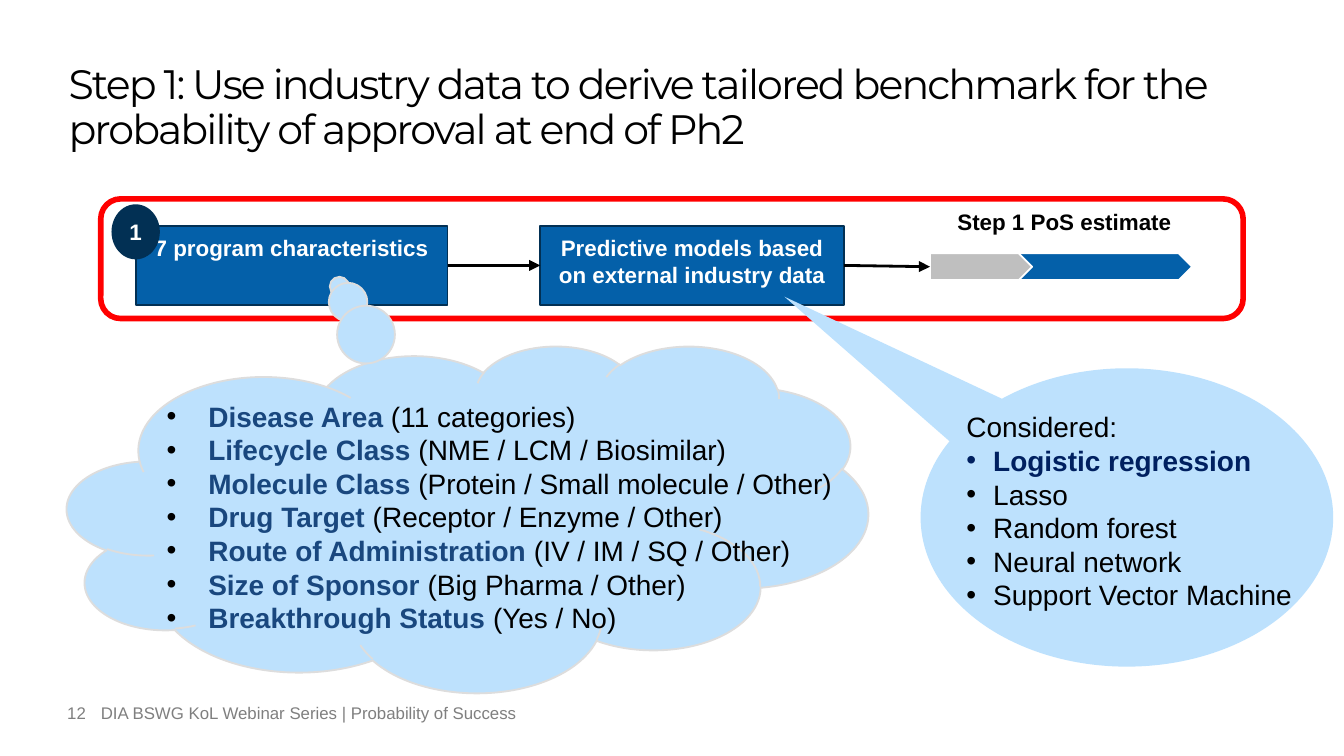
from dataclasses import dataclass, field

from lxml.etree import SubElement
from pptx import Presentation
from pptx.dml.color import RGBColor
from pptx.enum.shapes import MSO_CONNECTOR, MSO_SHAPE as Preset
from pptx.enum.text import MSO_ANCHOR as Anchor, MSO_AUTO_SIZE as AutoSize, PP_ALIGN as Align
from pptx.oxml.ns import qn
from pptx.util import Pt

PX = 4572
BLUE, NAVY, SKY, BLACK, WHITE, GREY = "0460A9", "023054", "BDE1FD", "000000", "FFFFFF", "7F7F7F"
MARGINS = ("margin_left", "margin_top", "margin_right", "margin_bottom")


@dataclass
class Run:
    """A piece of text with one look."""
    text: str
    color: str = BLACK
    bold: bool = False
    size: int = 15
    face: str = "Arial"


@dataclass
class Line:
    """A paragraph with its indent in px and its bullet."""
    runs: list[Run]
    indent: int = 0
    bullet: bool = False
    bullet_color: str | None = None
    layout: dict = field(default_factory=dict)


@dataclass
class Block:
    """A filled or outlined preset shape, placed in px."""
    preset: Preset
    box: tuple[int, int, int, int]
    fill: str | None = None
    outline: str | None = None
    weight: float = 1
    adjustments: tuple[float, ...] = ()


def rgb(code: str) -> RGBColor:
    """Turn a hex string into a colour."""
    return RGBColor.from_string(code)


def assign(target, values: dict) -> None:
    """Set each named attribute on the target."""
    for name, value in values.items():
        setattr(target, name, value)


def place(shape, box: tuple[int, int, int, int]) -> None:
    """Move and size a shape in px."""
    assign(shape, dict(zip(("left", "top", "width", "height"), (n * PX for n in box))))


def write(shape, lines: list[Line], insets=(20, 10, 20, 10), anchor=Anchor.TOP) -> None:
    """Fill a shape's text frame with formatted lines."""
    frame = shape.text_frame
    assign(frame, {"word_wrap": True, "auto_size": AutoSize.NONE, "vertical_anchor": anchor})
    assign(frame, dict(zip(MARGINS, (n * PX for n in insets))))
    for index, line in enumerate(lines):
        paragraph = frame.add_paragraph() if index else frame.paragraphs[0]
        props = paragraph._p.get_or_add_pPr()
        props.set("marL", str(line.indent * PX))
        props.set("indent", str(-line.indent * PX))
        if line.bullet_color:
            SubElement(SubElement(props, qn("a:buClr")), qn("a:srgbClr")).set("val", line.bullet_color)
        if line.bullet:
            SubElement(props, qn("a:buFont")).set("typeface", "Arial")
            SubElement(props, qn("a:buChar")).set("char", "•")
        else:
            SubElement(props, qn("a:buNone"))
        assign(paragraph, {"alignment": Align.LEFT, "space_before": Pt(0)} | line.layout)
        for part in line.runs:
            run = paragraph.add_run()
            run.text = part.text
            assign(run.font, {"name": part.face, "size": Pt(part.size), "bold": part.bold})
            run.font.color.rgb = rgb(part.color)


def draw_block(slide, block: Block):
    """Draw a preset shape without shadow."""
    shape = slide.shapes.add_shape(block.preset, *(n * PX for n in block.box))
    shape.shadow.inherit = False
    for index, value in enumerate(block.adjustments):
        shape.adjustments[index] = value
    if block.fill:
        shape.fill.solid()
        shape.fill.fore_color.rgb = rgb(block.fill)
    else:
        shape.fill.background()
    if block.outline:
        shape.line.color.rgb = rgb(block.outline)
        shape.line.width = Pt(block.weight)
    else:
        shape.line.fill.background()
    return shape


def draw_text(slide, box: tuple[int, int, int, int], line: Line, **frame) -> None:
    """Draw a text box with one line."""
    write(slide.shapes.add_textbox(*(n * PX for n in box)), [line], **frame)


def draw_arrow(slide, source, target) -> None:
    """Join the right side of one shape to the left side of another."""
    arrow = slide.shapes.add_connector(MSO_CONNECTOR.STRAIGHT, 0, 0, 0, 0)
    arrow.begin_connect(source, 3)
    arrow.end_connect(target, 1)
    arrow.line.color.rgb = rgb(BLACK)
    arrow.line.width = Pt(1.5)
    SubElement(arrow.line._get_or_add_ln(), qn("a:tailEnd")).set("type", "triangle")
    SubElement(arrow._element.spPr, qn("a:effectLst"))


def fill_list(slide, placeholder, box: tuple[int, int, int, int], lines: list[Line]) -> None:
    """Place a list above everything drawn so far."""
    place(placeholder, box)
    write(placeholder, lines)
    slide.shapes._spTree.append(placeholder._element)


CHARACTERISTICS = {
    "Disease Area": "11 categories",
    "Lifecycle Class": "NME / LCM / Biosimilar",
    "Molecule Class": "Protein / Small molecule / Other",
    "Drug Target": "Receptor / Enzyme / Other",
    "Route of Administration": "IV / IM / SQ / Other",
    "Size of Sponsor": "Big Pharma / Other",
    "Breakthrough Status": "Yes / No",
}
OTHER_MODELS = ("Lasso", "Random forest", "Neural network", "Support Vector Machine")


def main() -> None:
    """Build the slide and save it."""
    deck = Presentation()
    assign(deck, {"slide_width": 2000 * PX, "slide_height": 1125 * PX})
    slide = deck.slides.add_slide(deck.slide_layouts[3])
    title, characteristics, models = slide.placeholders

    place(title, (102, 96, 1800, 210))
    heading = Run("Step 1: Use industry data to derive tailored benchmark for the "
                  "probability of approval at end of Ph2", size=22, face="Montserrat")
    write(title, [Line([heading], layout={"line_spacing": 0.9})], insets=(0, 0, 0, 0))
    title.text_frame.paragraphs[0].runs[0].font._element.set("spc", "-100")

    for left, width, text in ((150, 830, "DIA BSWG KoL Webinar Series | Probability of Success"),
                              (100, 50, "12")):
        draw_text(slide, (left, 1046, width, 50), Line([Run(text, GREY, size=9)]), insets=(0, 0, 0, 0))

    centred = {"alignment": Align.CENTER}
    spaced = centred | {"space_after": Pt(2.2)}
    predictor = draw_block(slide, Block(Preset.RECTANGLE, (804, 336, 452, 118), BLUE, NAVY))
    program = draw_block(slide, Block(Preset.RECTANGLE, (202, 336, 464, 118), BLUE, NAVY))
    for step, text, indent in ((predictor, "Predictive models based on external industry data", 0),
                               (program, "7 program characteristics", 30)):
        write(step, [Line([Run(text, WHITE, True, 12)], indent, layout=spaced)], insets=(12, 12, 12, 12))
    badge = draw_block(slide, Block(Preset.OVAL, (166, 304, 72, 82), NAVY))
    write(badge, [Line([Run("1", WHITE, True, 12)], layout=centred)], (0, 8, 0, 8), Anchor.MIDDLE)

    draw_block(slide, Block(Preset.PENTAGON, (1504, 377, 270, 40), BLUE, WHITE))
    estimate = draw_block(slide, Block(Preset.PENTAGON, (1384, 377, 152, 40), "BFBFBF", WHITE))
    draw_arrow(slide, program, predictor)
    draw_arrow(slide, predictor, estimate)
    draw_text(slide, (1390, 280, 388, 80),
              Line([Run("Step 1 PoS estimate", BLACK, True, 12)], layout=centred), anchor=Anchor.BOTTOM)
    draw_block(slide, Block(Preset.ROUNDED_RECTANGLE, (150, 296, 1700, 178), None, "FF0000", 3))

    draw_block(slide, Block(Preset.CLOUD_CALLOUT, (100, 514, 1192, 516), SKY, "DDDDDD",
                            adjustments=(-0.16, -0.67)))
    fill_list(slide, characteristics, (228, 584, 1044, 374), [
        Line([Run(f"{name} ", "19477E", True), Run(f"({options})")], 62, True, BLACK)
        for name, options in CHARACTERISTICS.items()])

    draw_block(slide, Block(Preset.OVAL_CALLOUT, (1370, 548, 614, 444), SKY, adjustments=(-0.83, -0.74)))
    fill_list(slide, models, (1418, 600, 582, 324), [
        Line([Run("Considered:")]),
        Line([Run("Logistic regression", "002060", True)], 40, True),
        *(Line([Run(name)], 40, True) for name in OTHER_MODELS)])

    deck.save("out.pptx")


if __name__ == "__main__":
    main()
